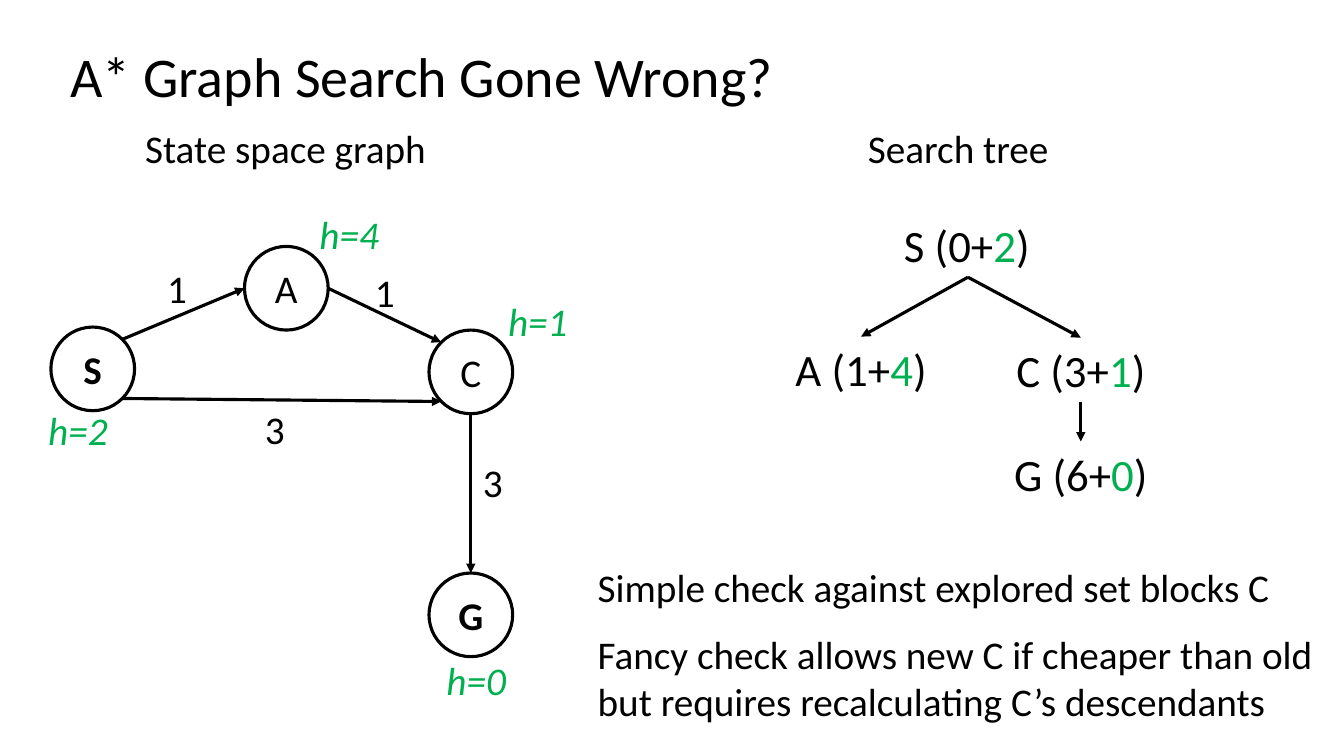
from math import sqrt

from lxml import etree
from pptx import Presentation
from pptx.dml.color import RGBColor
from pptx.enum.shapes import MSO_CONNECTOR, MSO_SHAPE
from pptx.enum.text import MSO_ANCHOR, PP_ALIGN
from pptx.oxml.ns import qn
from pptx.util import Inches, Pt

BLACK = RGBColor(0x00, 0x00, 0x00)
WHITE = RGBColor(0xFF, 0xFF, 0xFF)
GREEN = RGBColor(0x00, 0xB0, 0x50)
FONT = "Calibri"
LEFT, CENTER = PP_ALIGN.LEFT, PP_ALIGN.CENTER
MIDDLE, TOP = MSO_ANCHOR.MIDDLE, MSO_ANCHOR.TOP
OVAL, STRAIGHT = MSO_SHAPE.OVAL, MSO_CONNECTOR.STRAIGHT
LINE_WIDTH = Pt(2.25)
NODE_SIZE = 0.83
DIAGONAL = 1 / sqrt(2)


def add_span(para, text, size, color=BLACK, bold=False, italic=False):
    span = para.add_run()
    span.text = text
    font = span.font
    font.name, font.size, font.bold, font.italic = FONT, Pt(size), bold, italic
    font.color.rgb = color


def add_text(page, box, lines, size=28, align=LEFT, anchor=TOP, italic=False):
    """Each line is a list of (text, color) spans."""
    frame = page.shapes.add_textbox(*map(Inches, box)).text_frame
    frame.word_wrap = False
    frame.vertical_anchor = anchor
    for index, line in enumerate(lines):
        para = frame.add_paragraph() if index else frame.paragraphs[0]
        para.alignment = align
        for text, color in line:
            add_span(para, text, size, color, italic=italic)


def add_arrow(page, start, end):
    arrow = page.shapes.add_connector(STRAIGHT, *map(Inches, (*start, *end)))
    arrow.line.color.rgb = BLACK
    arrow.line.width = LINE_WIDTH
    etree.SubElement(arrow.line._get_or_add_ln(), qn("a:tailEnd"), type="triangle")
    etree.SubElement(arrow._element.spPr, qn("a:effectLst"))


def add_node(page, center, name, bold):
    x, y = center
    corner = (x - NODE_SIZE / 2, y - NODE_SIZE / 2)
    node = page.shapes.add_shape(OVAL, *map(Inches, (*corner, NODE_SIZE, NODE_SIZE)))
    node.shadow.inherit = False
    node.fill.solid()
    node.fill.fore_color.rgb = WHITE
    node.line.color.rgb = BLACK
    node.line.width = LINE_WIDTH
    frame = node.text_frame
    frame.vertical_anchor = MIDDLE
    frame.paragraphs[0].alignment = CENTER
    add_span(frame.paragraphs[0], name, 28, bold=bold)


def add_title(page, box):
    add_text(page, box, [[("A* Graph Search Gone Wrong?", BLACK)]], 40, anchor=MIDDLE)


def add_state_graph(page, box):
    left, top = box[:2]
    add_text(page, (left + 0.96, top, 3.02, 0.57), [[("State space graph", BLACK)]])

    # Nodes: center, bold name, corner of the heuristic label, heuristic
    nodes = {
        "S": ((0.54, 2.48), True, (0, 2.8), 2),
        "A": ((2.46, 1.68), False, (2.69, 0.86), 4),
        "C": ((4.29, 2.51), False, (4.56, 1.72), 1),
        "G": ((4.29, 4.92), True, (3.95, 5.28), 0),
    }
    for name, ((x, y), bold, (label_x, label_y), value) in nodes.items():
        add_node(page, (left + x, top + y), name, bold)
        add_text(page, (left + label_x, top + label_y, 0.81, 0.57),
                 [[(f"h={value}", GREEN)]], italic=True)

    def rim(name, direction):
        x, y = nodes[name][0]
        return (left + x + direction[0] * NODE_SIZE / 2,
                top + y + direction[1] * NODE_SIZE / 2)

    # Edges: from and to with the direction of the rim point, cost, label corner
    edges = [
        ("S", (DIAGONAL, -DIAGONAL), "A", (-1, 0), 1, (1.18, 1.39)),
        ("S", (DIAGONAL, DIAGONAL), "C", (-DIAGONAL, DIAGONAL), 3, (2.15, 2.79)),
        ("A", (1, 0), "C", (-DIAGONAL, -DIAGONAL), 1, (3.24, 1.43)),
        ("C", (0, 1), "G", (0, -1), 3, (4.31, 3.32)),
    ]
    for source, leaving, target, entering, cost, (x, y) in edges:
        add_arrow(page, rim(source, leaving), rim(target, entering))
        add_text(page, (left + x, top + y, 0.4, 0.57), [[(str(cost), BLACK)]])


def add_search_tree(page, box):
    left, top = box[:2]
    add_text(page, (left + 0.73, top, 2.01, 0.57), [[("Search tree", BLACK)]])

    # Tree entries: state, path cost, heuristic, label box
    entries = [
        ("S", 0, 2, (1.08, 0.93, 1.46)),
        ("A", 1, 4, (0, 2.16, 1.52)),
        ("C", 3, 1, (2.09, 2.17, 1.7)),
        ("G", 6, 0, (2.17, 3.2, 1.54)),
    ]
    for state, cost, heuristic, (x, y, width) in entries:
        spans = [(f"{state} ({cost}+", BLACK), (str(heuristic), GREEN), (")", BLACK)]
        add_text(page, (left + x, top + y, width, 0.64), [spans], 32, CENTER)

    # Branches
    root, a_top, c_top = (1.82, 1.57), (0.76, 2.16), (2.94, 2.17)
    c_bottom, g_top = (2.94, 2.81), (2.94, 3.2)
    for start, end in ((root, a_top), (root, c_top), (c_bottom, g_top)):
        add_arrow(page, (left + start[0], top + start[1]), (left + end[0], top + end[1]))


def add_remarks(page, box):
    left, top, width = box[:3]
    add_text(page, (left, top, 6.94, 0.57),
             [[("Simple check against explored set blocks C", BLACK)]])
    add_text(page, (left, top + 0.66, width, 1.04),
             [[("Fancy check allows new C if cheaper than old", BLACK)],
              [("but requires recalculating C’s descendants", BLACK)]])


def main():
    deck = Presentation()
    deck.slide_width, deck.slide_height = Inches(13.33), Inches(7.5)
    page = deck.slides.add_slide(deck.slide_layouts[6])
    add_title(page, (0.6, 0.4, 11.5, 0.69))
    add_state_graph(page, (0.38, 1.18, 5.37, 5.85))
    add_search_tree(page, (7.78, 1.18, 3.79, 3.84))
    add_remarks(page, (5.83, 5.54, 7.37, 1.7))
    deck.save("out.pptx")


if __name__ == "__main__":
    main()
